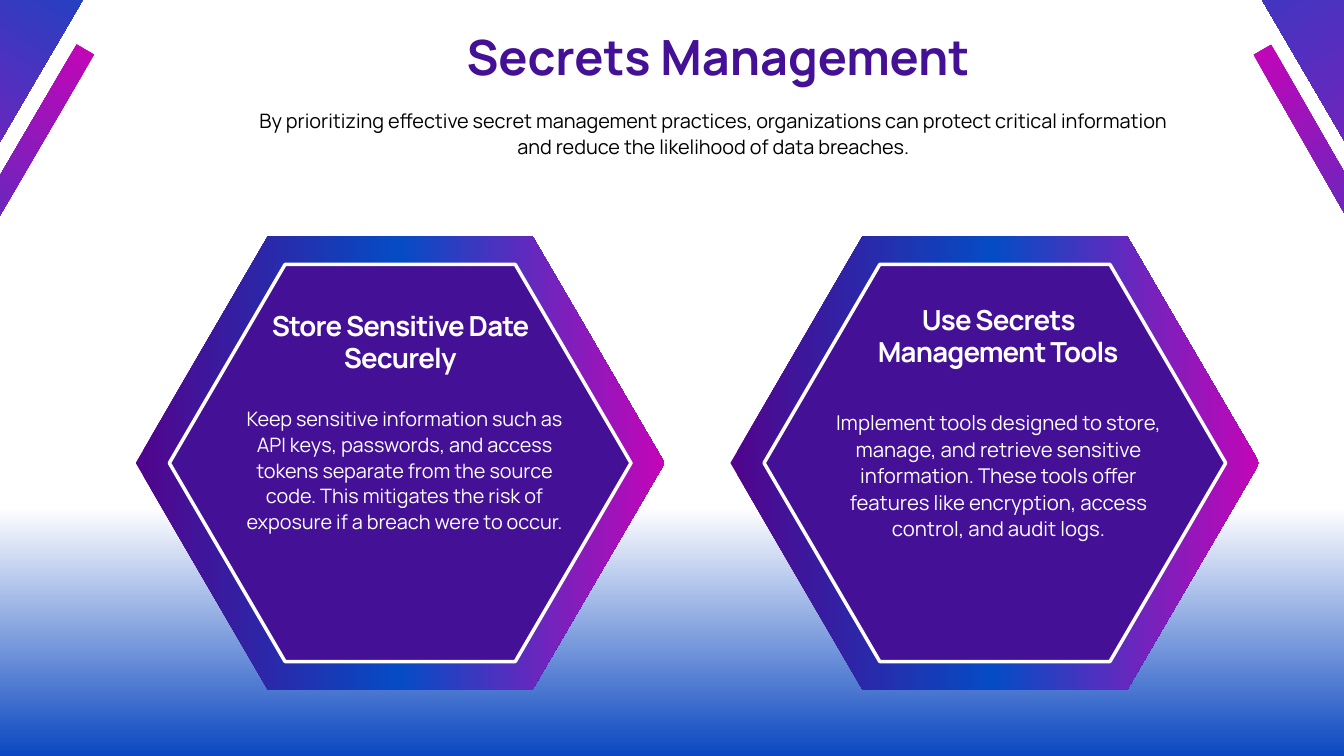
from dataclasses import dataclass

from lxml import etree
from pptx import Presentation
from pptx.dml.color import RGBColor
from pptx.enum.shapes import MSO_SHAPE
from pptx.enum.text import MSO_AUTO_SIZE, PP_ALIGN
from pptx.oxml.ns import qn
from pptx.util import Inches, Pt

HEXAGON, RECTANGLE = MSO_SHAPE.HEXAGON, MSO_SHAPE.RECTANGLE
CENTER, GROW = PP_ALIGN.CENTER, MSO_AUTO_SIZE.SHAPE_TO_FIT_TEXT
COLS, ROWS = 20, 11.25
SLIDE_W, SLIDE_H = Inches(20), Inches(11.25)
FONT = "Manrope"
INDIGO, WHITE, BLACK = "431096", "FFFFFF", "000000"
BRAND = [(0, "51048D"), (50, "054CC4"), (100, "C405B7")]
BRAND_REVERSED = [(100 - pos, color) for pos, color in reversed(BRAND)]
BACKGROUND = [(0, WHITE), (67, WHITE), (100, "0B47C0")]
HEX_INSET = 0.2914
CARD_LEFT, CARD_TOP, CARD_PITCH = 2.02, 3.51, 8.85
CARD_W, CARD_H = 7.87, 6.76
INNER_W, INNER_H = 6.87, 5.91


@dataclass
class Box:
    """Left, top, width and height in grid columns and rows."""
    x: float
    y: float
    w: float
    h: float

    def emu(self) -> list[int]:
        return [round(self.x * SLIDE_W / COLS), round(self.y * SLIDE_H / ROWS),
                round(self.w * SLIDE_W / COLS), round(self.h * SLIDE_H / ROWS)]


@dataclass
class Label:
    text: str
    box: Box
    size: float
    leading: float
    color: str = WHITE
    bold: bool = False
    tracking: float = 0


@dataclass
class Bar:
    box: Box
    rotation: float
    stops: list


LABELS = [
    Label("Secrets Management", Box(6.4, 0.41, 8.57, 0.91), 52, 62.3, INDIGO, True),
    Label("By prioritizing effective secret management practices, organizations can "
          "protect critical information and reduce the likelihood of data breaches.",
          Box(3.85, 1.59, 13.53, 0.76), 21.3, 27.7, BLACK),
    Label("Store Sensitive Date Securely", Box(3.61, 4.63, 4.69, 0.95),
          29.6, 33.5, bold=True, tracking=-0.9),
    Label("Use Secrets Management Tools", Box(12.72, 4.54, 4.27, 0.95),
          29.6, 33.5, bold=True, tracking=-0.9),
    Label("Keep sensitive information such as API keys, passwords, and access tokens "
          "separate from the source code. This mitigates the risk of exposure if a "
          "breach were to occur.", Box(3.61, 6.02, 4.82, 2.3), 21.3, 27.7),
    Label("Implement tools designed to store, manage, and retrieve sensitive "
          "information. These tools offer features like encryption, access control, "
          "and audit logs.", Box(12.29, 6.08, 5.14, 1.95), 21.8, 28.3),
]

BARS = [
    Bar(Box(-1.41, -7.37, 3.49, 10.89), 30.3, BRAND),
    Bar(Box(-1.93, -0.09, 0.3, 12.09), 30.3, BRAND_REVERSED),
    Bar(Box(16.93, -12.36, 3.15, 17.53), 329.7, BRAND),
    Bar(Box(21.64, -0.06, 0.3, 12.09), 330.2, BRAND_REVERSED),
]


def rgb(color: str) -> RGBColor:
    return RGBColor.from_string(color)


def set_gradient(fill, element, stops: list, angle: float) -> None:
    """Fill with a linear gradient; the angle runs clockwise from left-to-right."""
    fill.gradient()
    fill.gradient_angle = -angle % 360
    stop_list = next(element.iter(qn("a:gsLst")))
    for old in list(stop_list):
        stop_list.remove(old)
    for pos, color in stops:
        stop = etree.SubElement(stop_list, qn("a:gs"), pos=str(pos * 1000))
        etree.SubElement(stop, qn("a:srgbClr"), val=color)


def add_plain_shape(s, kind, box: Box):
    """Add a preset shape without shadow or outline."""
    sp = s.shapes.add_shape(kind, *box.emu())
    sp.shadow.inherit = False
    sp.line.fill.background()
    return sp


def add_hexagon(s, box: Box):
    sp = add_plain_shape(s, HEXAGON, box)
    sp.adjustments[0] = HEX_INSET
    return sp


def add_card(s, left: float) -> None:
    outer = Box(left, CARD_TOP, CARD_W, CARD_H)
    inner = Box(left + (CARD_W - INNER_W) / 2, CARD_TOP + (CARD_H - INNER_H) / 2,
                INNER_W, INNER_H)
    frame = add_hexagon(s, outer)
    set_gradient(frame.fill, frame._element, BRAND, 0)
    panel = add_hexagon(s, inner)
    panel.fill.solid()
    panel.fill.fore_color.rgb = rgb(INDIGO)
    panel.line.color.rgb = rgb(WHITE)
    panel.line.width = Pt(3.75)


def add_bar(s, bar: Bar) -> None:
    sp = add_plain_shape(s, RECTANGLE, bar.box)
    sp.rotation = bar.rotation
    set_gradient(sp.fill, sp._element, bar.stops, 90)


def add_label(s, label: Label) -> None:
    tf = s.shapes.add_textbox(*label.box.emu()).text_frame
    frame_format = {"word_wrap": True, "auto_size": GROW, "margin_left": 0,
                    "margin_top": 0, "margin_right": 0, "margin_bottom": 0}
    for name, value in frame_format.items():
        setattr(tf, name, value)
    p = tf.paragraphs[0]
    p.alignment, p.line_spacing = CENTER, Pt(label.leading)
    r = p.add_run()
    r.text = label.text
    for name, value in {"name": FONT, "size": Pt(label.size), "bold": label.bold}.items():
        setattr(r.font, name, value)
    r.font.color.rgb = rgb(label.color)
    if label.tracking:
        r._r.get_or_add_rPr().set("spc", str(round(label.tracking * 100)))


def main() -> None:
    prs = Presentation()
    prs.slide_width, prs.slide_height = SLIDE_W, SLIDE_H
    s = prs.slides.add_slide(prs.slide_layouts[6])
    set_gradient(s.background.fill, s._element, BACKGROUND, 90)
    for i in range(2):
        add_card(s, CARD_LEFT + i * CARD_PITCH)
    for bar in BARS:
        add_bar(s, bar)
    for label in LABELS:
        add_label(s, label)
    prs.save("out.pptx")


if __name__ == "__main__":
    main()
